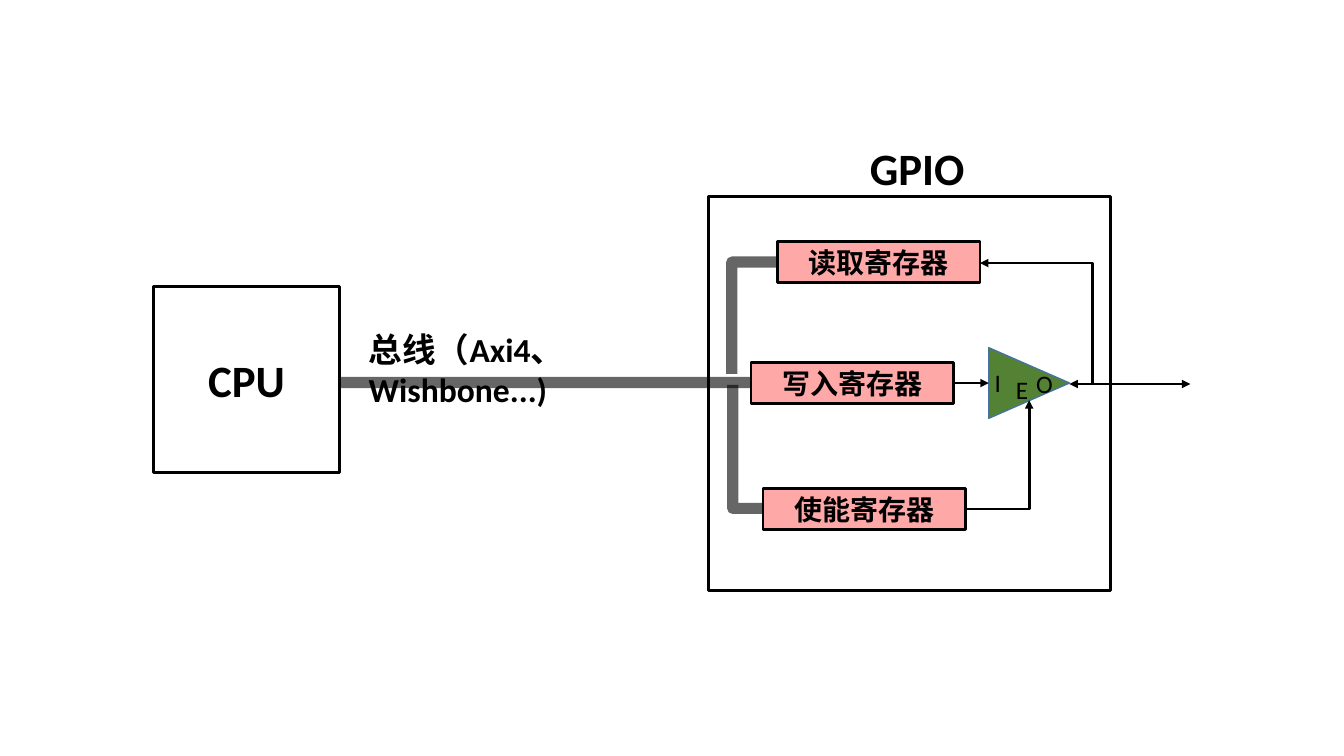
import pptx
import pptx.dml.color
import pptx.enum.shapes
import pptx.enum.text
import pptx.util
import lxml.etree
import pptx.oxml.ns

Pt = pptx.util.Pt
RGBColor = pptx.dml.color.RGBColor
SHAPE = pptx.enum.shapes.MSO_SHAPE
CONNECTOR = pptx.enum.shapes.MSO_CONNECTOR
ALIGN = pptx.enum.text.PP_ALIGN
ANCHOR = pptx.enum.text.MSO_ANCHOR
qn = pptx.oxml.ns.qn

BLACK = RGBColor(0x00, 0x00, 0x00)
PINK = RGBColor(0xFE, 0xA8, 0xA8)
GREEN = RGBColor(0x54, 0x82, 0x35)
BLUE = RGBColor(0x43, 0x73, 0x9E)

deck = pptx.Presentation()
deck.slide_width, deck.slide_height = Pt(960), Pt(540)
page = deck.slides.add_slide(deck.slide_layouts[6])


def write(box, text, size, bold, align, wrap):
    frame = box.text_frame
    frame.word_wrap = wrap
    para = frame.paragraphs[0]
    para.alignment = align
    span = para.add_run()
    span.text = text
    formats = {"name": "Calibri", "size": Pt(size), "bold": bold}
    for key, value in formats.items():
        setattr(span.font, key, value)
    span.font.color.rgb = BLACK


def connect(start, end, width, head=False, tail=False, alpha=None):
    straight = start[1] == end[1]
    kind = CONNECTOR.STRAIGHT if straight else CONNECTOR.ELBOW
    wire = page.shapes.add_connector(kind, *[Pt(value) for value in start + end])
    wire.line.width = Pt(width)
    wire.line.color.rgb = BLACK
    properties = wire._element.spPr
    if not straight:
        properties.find(qn("a:prstGeom")).set("prst", "bentConnector2")
    outline = properties.find(qn("a:ln"))
    if alpha:
        color = outline.find(".//" + qn("a:srgbClr"))
        lxml.etree.SubElement(color, qn("a:alpha")).set("val", str(alpha * 1000))
    for tag, shown in (("a:headEnd", head), ("a:tailEnd", tail)):
        if shown:
            lxml.etree.SubElement(outline, qn(tag)).set("type", "triangle")
    lxml.etree.SubElement(properties, qn("a:effectLst"))


blocks = [
    (SHAPE.RECTANGLE, (109.5, 204.5, 133.2, 133.2), None, BLACK, 2, "CPU", 32),
    (SHAPE.RECTANGLE, (506.2, 140.4, 287.3, 281.5), None, BLACK, 2, "", 0),
    (SHAPE.ISOSCELES_TRIANGLE, (709.9, 244.8, 50.4, 57.6), GREEN, BLUE, 1, "", 0),
]
registers = [("读取寄存器", 555.1, 172.8), ("写入寄存器", 536.4, 259.2), ("使能寄存器", 545, 349.2)]
for text, left, top in registers:
    blocks.append((SHAPE.RECTANGLE, (left, top, 144.9, 28.9), PINK, BLACK, 2, text, 20))

for kind, place, fill, edge, width, text, size in blocks:
    box = page.shapes.add_shape(kind, *[Pt(value) for value in place])
    box.shadow.inherit = False
    if fill is None:
        box.fill.background()
    else:
        box.fill.solid()
        box.fill.fore_color.rgb = fill
    box.line.color.rgb = edge
    box.line.width = Pt(width)
    if kind == SHAPE.ISOSCELES_TRIANGLE:
        box.rotation = 90
    if text:
        box.text_frame.vertical_anchor = ANCHOR.MIDDLE
        write(box, text, size, True, ALIGN.CENTER, True)

connect((242.6, 273.2), (535.7, 273.2), 8, alpha=60)
connect((555.1, 187.2), (522.7, 267.1), 8, alpha=60)
connect((545, 363.2), (523.4, 275), 8, alpha=60)
connect((763.9, 274.3), (850.3, 274.3), 2, head=True, tail=True)
connect((681.1, 273.6), (706.3, 273.6), 2, tail=True)
connect((700, 187.9), (780.5, 273.6), 2, head=True)
connect((690, 363.6), (735.1, 285.8), 2, tail=True)

labels = [
    ("GPIO", (614.2, 97.2, 82.8, 46.1), 32, True, False),
    ("总线（Axi4、Wishbone...)", (256.3, 231.1, 246.2, 36), 24, True, True),
    ("I", (703.4, 258.5, 19.4, 28.8), 18, False, False),
    ("E", (718.6, 264.2, 23, 28.8), 18, False, False),
    ("O", (733, 259.2, 26.6, 28.8), 18, False, False),
]
for text, place, size, bold, wrap in labels:
    label = page.shapes.add_textbox(*[Pt(value) for value in place])
    write(label, text, size, bold, ALIGN.LEFT, wrap)

deck.save("out.pptx")
